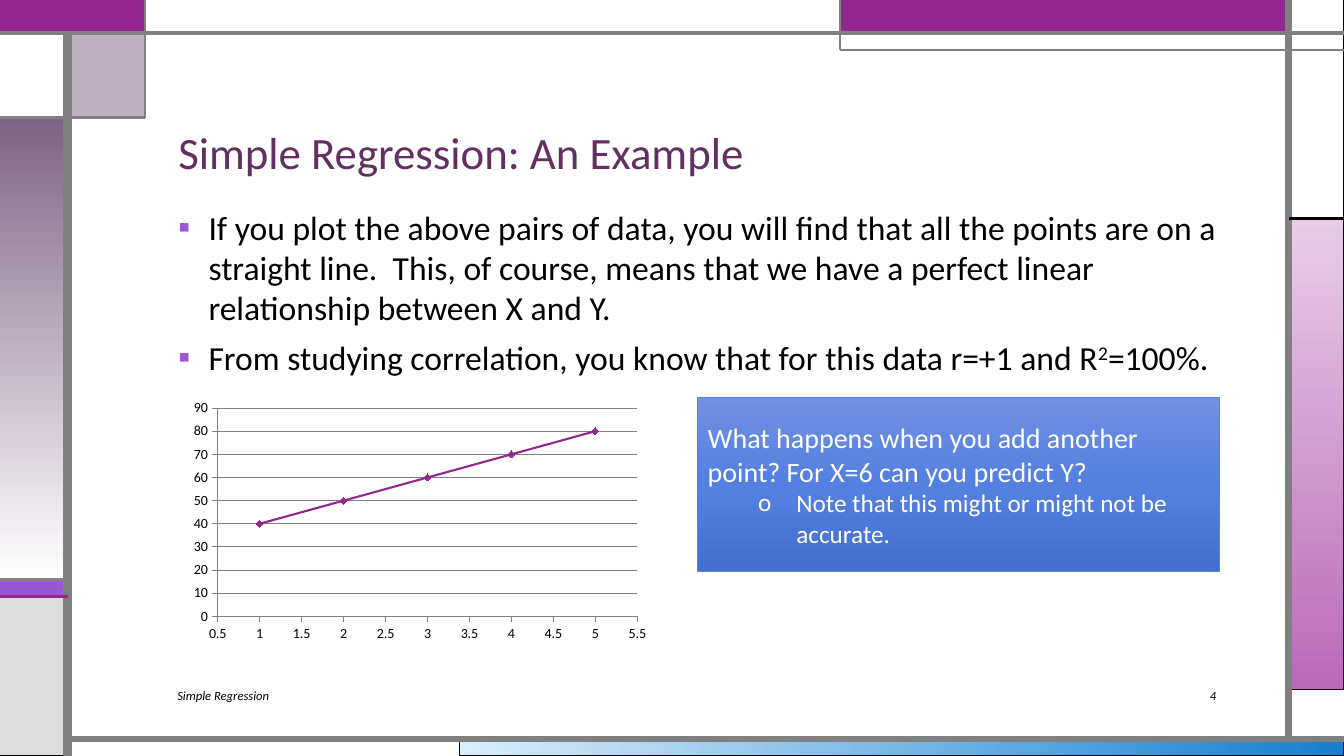
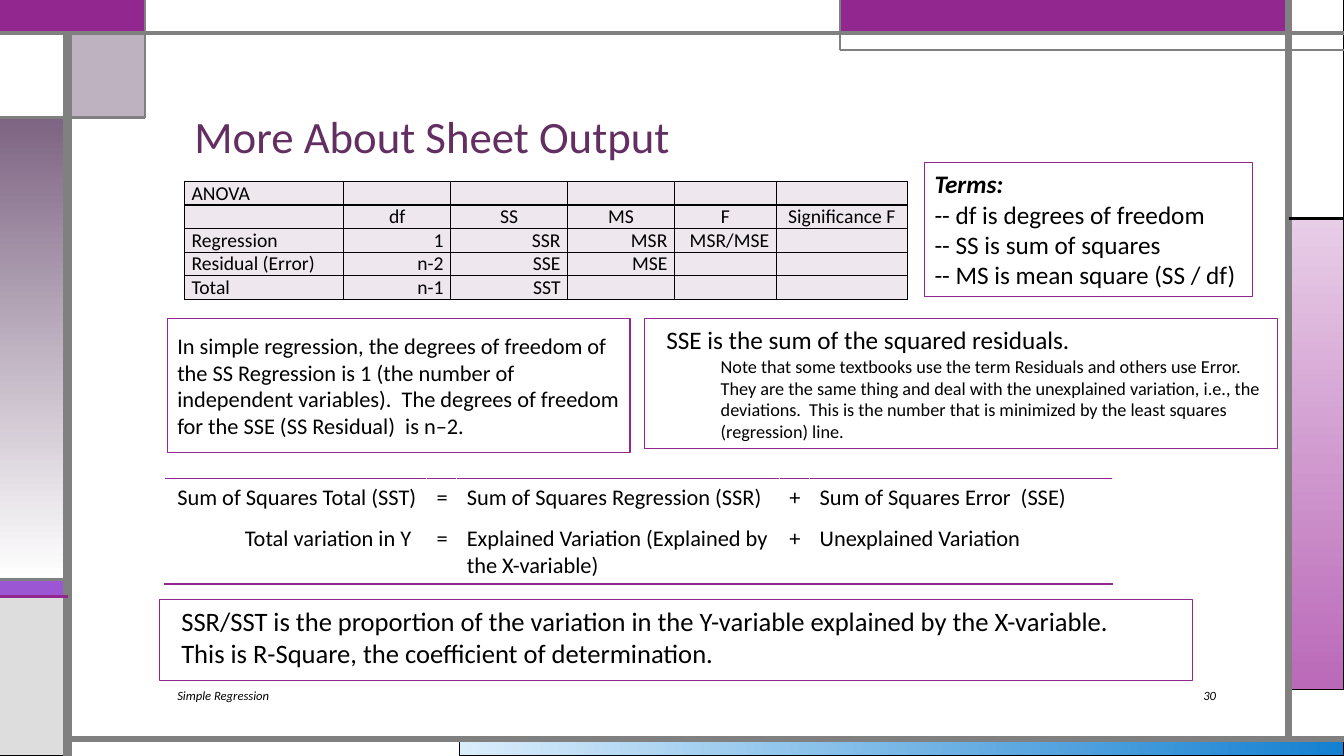
from lxml import etree
from pptx import Presentation, util as u
from pptx.chart import data as chart_data
from pptx.dml import color
from pptx.enum import chart as chart_enum, shapes, text
from pptx.oxml import ns

COLOURS = {
    "black": "000000", "white": "FFFFFF", "grey": "808080", "light_grey": "DDDDDD",
    "purple": "92278F", "violet": "9B57D3", "indigo": "755DD9", "mauve": "7E6583",
    "title": "632E62", "pink": "E8CDE7", "orchid": "BA69B8", "cell": "EEE8EE",
    "ice": "DAEDFB", "azure": "1480D1", "blue_light": "7090E0", "blue": "5380E1",
    "blue_dark": "426FD0", "blue_edge": "5982DB",
}
FONT = "Calibri"
LEFT, CENTER, RIGHT = text.PP_ALIGN.LEFT, text.PP_ALIGN.CENTER, text.PP_ALIGN.RIGHT
TOP, MIDDLE, BOTTOM = text.MSO_ANCHOR.TOP, text.MSO_ANCHOR.MIDDLE, text.MSO_ANCHOR.BOTTOM
WIDTH, HEIGHT = 13.33, 7.5

# Grid of the frame: columns and rows that bands and rules share
RAIL, TAB, BANNER, EDGE = 0.67, 1.44, 8.33, 12.78
BAND, TAB_END, STRIPE, STRIPE_END, FLOOR = 0.33, 1.17, 5.75, 5.92, 7.33
PANEL, PANEL_END = 2.17, 6.84

# left, top, right, bottom, fill (colour, or colours and angle), line, line width
BANDS = [
    (4.56, FLOOR, WIDTH, HEIGHT, (["ice", "azure"], 0), "black", 0.75),
    (EDGE, PANEL, WIDTH, PANEL_END, (["pink", "orchid"], 90), "black", 0.75),
    (0, STRIPE, RAIL, STRIPE_END, "violet", "black", 0.75),
    (0, STRIPE_END, RAIL, HEIGHT, "light_grey", "black", 0.75),
    (EDGE, 0, WIDTH, PANEL, "white", "black", 0.75),
    (BANNER, 0, EDGE, BAND, "purple", "indigo", 0.75),
    (RAIL, BAND, TAB, TAB_END, "mauve", "black", 0.75),
    (0, TAB_END, RAIL, STRIPE, (["mauve", "white"], 90), "black", 0.75),
    (0, BAND, RAIL, TAB_END, "white", "black", 0.75),
    (0, 0, TAB, BAND, "purple", "purple", 1.5),
    (TAB, 0, BANNER, BAND, "white", "grey", 0.75),
]
# start x, start y, end x, end y, colour, width
RULES = [
    (RAIL, HEIGHT, RAIL, BAND, "grey", 6),
    (RAIL, FLOOR, WIDTH, FLOOR, "grey", 4.5),
    (EDGE, FLOOR, EDGE, 0, "grey", 4.5),
    (0, BAND, WIDTH, BAND, "grey", 3),
    (WIDTH, 0.5, BANNER, 0.5, "grey", 1.5),
    (BANNER, 0.5, BANNER, 0, "grey", 1.5),
    (EDGE, PANEL, WIDTH, PANEL, "black", 2.25),
    (TAB, 0, TAB, TAB_END, "grey", 1.5),
    (TAB, TAB_END, 0, TAB_END, "grey", 2.25),
    (RAIL, STRIPE, 0, STRIPE, "grey", 2.25),
    (RAIL, STRIPE_END, 0, STRIPE_END, "purple", 2.25),
]


def rgb(name):
    return color.RGBColor.from_string(COLOURS[name])


def inches(values):
    return [u.Inches(value) for value in values]


def assign(target, values):
    for name, value in values.items():
        setattr(target, name, value)


def add_element(parent, tag, **attributes):
    return etree.SubElement(parent, ns.qn(tag), attributes)


def style_font(font, size, colour="black", **values):
    assign(font, {"name": FONT, "size": u.Pt(size), **values})
    font.color.rgb = rgb(colour)


def style_line(line, colour, width):
    line.color.rgb = rgb(colour)
    line.width = u.Pt(width)


def style_fill(shape, fill):
    """Fill with one named colour, or with evenly spread colours at an angle."""
    if isinstance(fill, str):
        shape.fill.solid()
        shape.fill.fore_color.rgb = rgb(fill)
        return
    names, angle = fill
    shape.fill.gradient()
    shape.fill.gradient_angle = -angle % 360
    stops = shape._element.spPr.find(".//" + ns.qn("a:gsLst"))
    for stop in list(stops):
        stops.remove(stop)
    for index, name in enumerate(names):
        stop = add_element(stops, "a:gs", pos=str(100000 * index // (len(names) - 1)))
        add_element(stop, "a:srgbClr", val=COLOURS[name])


def add_bullet(paragraph, character, colour):
    properties = paragraph._p.get_or_add_pPr()
    add_element(add_element(properties, "a:buClr"), "a:srgbClr", val=COLOURS[colour])
    add_element(properties, "a:buFont", typeface=FONT)
    add_element(properties, "a:buChar", char=character)


def add_paragraph(frame, content, size, colour="black", first=False, indent=(0, 0),
                  bullet=None, layout=None, **font):
    """Write one paragraph; content is a string or a list of (string, baseline)."""
    paragraph = frame.paragraphs[0] if first else frame.add_paragraph()
    properties = paragraph._p.get_or_add_pPr()
    for name, value in zip(("marL", "indent"), indent):
        properties.set(name, str(u.Inches(value)))
    if bullet:
        add_bullet(paragraph, *bullet)
    assign(paragraph, layout or {})
    for words, baseline in [(content, 0)] if isinstance(content, str) else content:
        run = paragraph.add_run()
        run.text = words
        style_font(run.font, size, colour, **font)
        if baseline:
            run.font._element.set("baseline", str(baseline * 1000))


def write(frame, paragraphs, anchor=TOP):
    assign(frame, {"word_wrap": True, "vertical_anchor": anchor})
    for index, values in enumerate(paragraphs):
        add_paragraph(frame, first=index == 0, **values)


def add_text(slide, box, paragraphs, anchor=TOP):
    write(slide.shapes.add_textbox(*inches(box)).text_frame, paragraphs, anchor)


def add_rectangle(slide, box, fill, line, width):
    shape = slide.shapes.add_shape(shapes.MSO_SHAPE.RECTANGLE, *inches(box))
    shape.shadow.inherit = False
    style_fill(shape, fill)
    style_line(shape.line, line, width)
    return shape


def add_panel(slide, box, paragraphs, anchor=MIDDLE, fill="white", line="purple", width=1):
    shape = add_rectangle(slide, box, fill, line, width)
    for values in paragraphs:
        values.setdefault("layout", {"alignment": LEFT})
    write(shape.text_frame, paragraphs, anchor)


def add_frame(slide):
    for left, top, right, bottom, fill, line, width in BANDS:
        band = add_rectangle(slide, (left, top, right - left, bottom - top), fill, line, width)
        if fill == "mauve":
            tint = band._element.spPr.find(ns.qn("a:solidFill"))[0]
            add_element(tint, "a:alpha", val="50000")
    for *ends, colour, width in RULES:
        rule = slide.shapes.add_connector(shapes.MSO_CONNECTOR.STRAIGHT, *inches(ends))
        style_line(rule.line, colour, width)
        add_element(rule._element.spPr, "a:effectLst")


def add_base_slide(presentation, title, title_box, number):
    """Add a slide with the shared frame, title and footer."""
    slide = presentation.slides.add_slide(presentation.slide_layouts[6])
    add_frame(slide)
    add_text(slide, title_box, [dict(content=title, size=32, colour="title",
                                     layout={"line_spacing": 0.9})], BOTTOM)
    for box, words, alignment in [((1.66, 6.75, 7.51, 0.3), "Simple Regression", LEFT),
                                  ((11.08, 6.75, 1.08, 0.3), number, RIGHT)]:
        add_text(slide, box, [dict(content=words, size=9, italic=True,
                                   layout={"alignment": alignment})], MIDDLE)
    return slide


def add_scatter(slide, box):
    data = chart_data.XyChartData()
    series = data.add_series("Series 1")
    for x, y in zip(range(1, 6), range(40, 81, 10)):
        series.add_data_point(x, y)
    chart = slide.shapes.add_chart(chart_enum.XL_CHART_TYPE.XY_SCATTER_LINES,
                                   *inches(box), data).chart
    assign(chart, {"has_legend": False, "has_title": False})
    style_font(chart.font, 10)
    chart.plots[0].vary_by_categories = False
    for axis, low, high, step in [(chart.category_axis, 0.5, 5.5, 0.5),
                                  (chart.value_axis, 0, 90, 10)]:
        assign(axis, {"minimum_scale": low, "maximum_scale": high, "major_unit": step,
                      "major_tick_mark": chart_enum.XL_TICK_MARK.OUTSIDE,
                      "has_major_gridlines": axis is chart.value_axis})
        style_line(axis.format.line, "grey", 0.75)
        assign(axis.tick_labels, {"number_format": "General", "number_format_is_linked": False})
    style_line(chart.value_axis.major_gridlines.format.line, "grey", 0.75)
    line = chart.plots[0].series[0]
    line.smooth = False
    style_line(line.format.line, "purple", 1.5)
    assign(line.marker, {"style": chart_enum.XL_MARKER_STYLE.DIAMOND, "size": 5})
    style_fill(line.marker.format, "purple")
    style_line(line.marker.format.line, "purple", 0.75)


def add_borders(cell, sides, colour):
    """Draw 1 pt borders on the given sides, listed in the order L, R, T, B."""
    properties = cell._tc.get_or_add_tcPr()
    for index, side in enumerate(sides):
        border = etree.Element(ns.qn("a:ln" + side), w=str(u.Pt(1)))
        add_element(add_element(border, "a:solidFill"), "a:srgbClr", val=COLOURS[colour])
        properties.insert(index, border)


def add_grid(slide, corner, columns, heights, rows, size, style_cell):
    """Add a plain table; style_cell(cell, row, column) returns the alignment."""
    box = (*corner, sum(columns), sum(heights))
    table = slide.shapes.add_table(len(rows), len(columns), *inches(box)).table
    assign(table, {"first_row": False, "horz_banding": False})
    for column, width in zip(table.columns, columns):
        column.width = u.Inches(width)
    for r, (height, words) in enumerate(zip(heights, rows)):
        table.rows[r].height = u.Inches(height)
        for c, word in enumerate(words):
            cell = table.cell(r, c)
            alignment = style_cell(cell, r, c)
            if word:
                add_paragraph(cell.text_frame, word, size, first=True,
                              layout={"alignment": alignment})
            else:
                end = cell.text_frame.paragraphs[0]._p.get_or_add_endParaRPr()
                end.set("sz", str(size * 100))


def add_anova_table(slide, corner):
    def style_cell(cell, row, column):
        style = {"margin_left": 0.07, "margin_right": 0.07, "margin_top": 0, "margin_bottom": 0}
        assign(cell, {name: u.Inches(value) for name, value in style.items()})
        cell.vertical_anchor = BOTTOM
        cell.fill.solid()
        cell.fill.fore_color.rgb = rgb("cell")
        add_borders(cell, "LRTB", "black")
        return LEFT if column == 0 else CENTER if row == 1 else RIGHT

    rows = [["ANOVA", "", "", "", "", ""],
            ["", "df", "SS", "MS", "F", "Significance F"],
            ["Regression", "1", "SSR", "MSR", "MSR/MSE", ""],
            ["Residual (Error)", "n-2", "SSE", "MSE", "", ""],
            ["Total", "n-1", "SST", "", "", ""]]
    add_grid(slide, corner, [1.58, 1.06, 1.16, 1.06, 1.01, 1.3], [0.23] * 5, rows, 14, style_cell)


def add_variation_table(slide, corner):
    def style_cell(cell, row, column):
        cell.fill.background()
        add_borders(cell, "TB"[row], "purple")
        return LEFT if column else RIGHT

    rows = [["Sum of Squares Total (SST) ", "=", "Sum of Squares Regression (SSR)", "+",
             "Sum of Squares Error  (SSE)"],
            ["Total variation in Y ", "=", "Explained Variation (Explained by the X-variable)",
             "+", "Unexplained Variation"]]
    add_grid(slide, corner, [2.6, 0.3, 3.2, 0.3, 3], [0.41, 0.63], rows, 16, style_cell)


def build_example_slide(presentation):
    slide = add_base_slide(presentation, "Simple Regression: An Example",
                           (1.67, 0.58, 10.5, 1.25), "4")
    point = {"size": 24, "indent": (0.3, -0.3), "bullet": ("▪", "violet")}
    add_text(slide, (1.67, 2, 10.5, 4.58), [
        dict(point, content="If you plot the above pairs of data, you will find that all the "
             "points are on a straight line.  This, of course, means that we have a perfect "
             "linear relationship between X and Y."),
        dict(point, layout={"space_before": u.Pt(6.8)}, content=[
            ("From studying correlation, you know that for this data r=+1 and R", 0),
            ("2", 30), ("=100%.", 0)])])
    add_scatter(slide, (1.83, 3.92, 4.67, 2.5))
    add_panel(slide, (6.92, 3.94, 5.17, 1.73), [
        dict(content="What happens when you add another point? For X=6 can you predict Y?",
             size=20, colour="white"),
        dict(content="Note that this might or might not be accurate.", size=18, colour="white",
             indent=(0.88, -0.38), bullet=("o", "white"))],
        fill=(["blue_light", "blue", "blue_dark"], 90), line="blue_edge", width=0.5)


def build_output_slide(presentation):
    slide = add_base_slide(presentation, "More About Sheet Output",
                           (1.83, 0.45, 10.67, 1.22), "30")
    add_panel(slide, (1.58, 5.95, 10.25, 0.8), [
        dict(content=words, size=19, indent=(0.12, 0)) for words in (
            "SSR/SST is the proportion of the variation in the Y-variable explained by the "
            "X-variable.", "This is R-Square, the coefficient of determination.")], TOP)
    add_anova_table(slide, (1.83, 1.8))
    add_panel(slide, (9.17, 1.61, 3.25, 1.33), [
        dict(content="Terms:", size=18, bold=True, italic=True),
        *(dict(content=words, size=18) for words in (
            "-- df is degrees of freedom", "-- SS is sum of squares",
            "-- MS is mean square (SS / df)"))])
    add_panel(slide, (6.39, 3.16, 6.28, 1.29), [
        dict(content="SSE is the sum of the squared residuals.", size=18, indent=(0.12, 0)),
        dict(content="Note that some textbooks use the term Residuals and others use Error.  "
             "They are the same thing and deal with the unexplained variation, i.e., the "
             "deviations.  This is the number that is minimized by the least squares "
             "(regression) line.", size=13, indent=(0.66, 0))])
    add_variation_table(slide, (1.63, 4.75))
    add_panel(slide, (1.66, 3.16, 4.59, 1.33), [
        dict(content="In simple regression, the degrees of freedom of the SS Regression is 1 "
             "(the number of independent variables).  The degrees of freedom for the SSE "
             "(SS Residual)  is n–2.", size=16)])


def main():
    presentation = Presentation()
    assign(presentation, {"slide_width": u.Inches(WIDTH), "slide_height": u.Inches(HEIGHT)})
    build_example_slide(presentation)
    build_output_slide(presentation)
    presentation.save("out.pptx")


if __name__ == "__main__":
    main()
